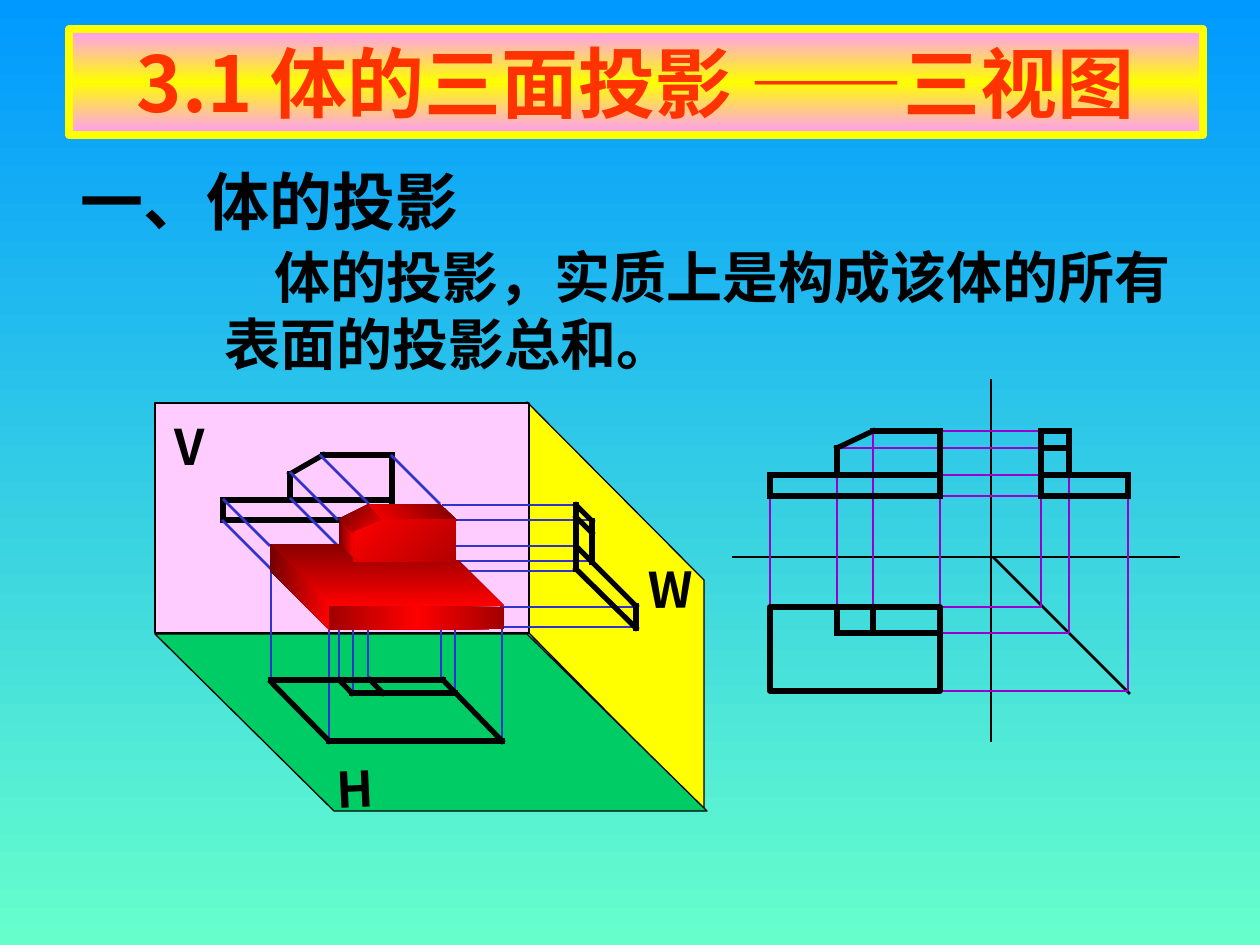
import pptx
import pptx.util
import pptx.dml.color
import pptx.enum.shapes
import pptx.enum.text
import pptx.oxml.ns
import lxml.etree

PX = 914400 / 126
FONT = "Noto Sans CJK SC"
COLORS = {
    "black": "000000", "blue": "3333CC", "purple": "9900CC", "title": "FF3300",
    "yellow": "FFFF00", "green": "00CC66", "pink": "FFCCFF", "rose": "FF99FF",
    "sky": "0099FF", "mint": "66FFCC", "red": "FF0000",
    "dark": "750000", "deep": "650000", "wine": "890000", "brick": "B30000", "rust": "A10000",
}
THIN, MID, THICK = 0.75, 1.5, 3
ALIGN = pptx.enum.text.PP_ALIGN
ANCHOR = pptx.enum.text.MSO_ANCHOR
qn = pptx.oxml.ns.qn


def emu(px):
    return pptx.util.Emu(round(px * PX))


def color(name):
    return pptx.dml.color.RGBColor.from_string(COLORS[name])


def place(shape, x, y, w, h):
    shape.left, shape.top, shape.width, shape.height = map(emu, (x, y, w, h))


def shade(fill, node, names, angle):
    """Fill with evenly spaced gradient stops; angle runs clockwise."""
    fill.gradient()
    fill.gradient_angle = 360 - angle
    stops = next(node.iter(qn("a:gsLst")))
    for old in list(stops):
        stops.remove(old)
    for i, name in enumerate(names):
        stop = lxml.etree.SubElement(stops, qn("a:gs"), pos=str(100000 * i // (len(names) - 1)))
        lxml.etree.SubElement(stop, qn("a:srgbClr"), val=COLORS[name])


def paint(shape, fill=None, line=None, width=THIN):
    shape.shadow.inherit = False
    if fill:
        shape.fill.solid()
        shape.fill.fore_color.rgb = color(fill)
    else:
        shape.fill.background()
    if line:
        shape.line.color.rgb = color(line)
        shape.line.width = pptx.util.Pt(width)
    else:
        shape.line.fill.background()


def write(shape, text, size, ink="black", align=ALIGN.LEFT, anchor=ANCHOR.TOP, wrap=True, indent=0):
    frame = shape.text_frame
    frame.auto_size = pptx.enum.text.MSO_AUTO_SIZE.NONE
    frame.word_wrap = wrap
    frame.vertical_anchor = anchor
    para = frame.paragraphs[0]
    para.alignment = align
    para.space_before = pptx.util.Pt(0)
    props = para._p.get_or_add_pPr()
    props.set("marL", "0")
    props.set("indent", str(emu(indent)))
    lxml.etree.SubElement(props, qn("a:buNone"))
    run = para.add_run()
    run.text = text
    run.font.size = pptx.util.Pt(size)
    run.font.bold = True
    run.font.name = FONT
    run.font.color.rgb = color(ink)
    lxml.etree.SubElement(run._r.get_or_add_rPr(), qn("a:ea"), typeface=FONT)


def label(slide, text, box, size, turn=0, **style):
    shape = slide.shapes.add_textbox(*map(emu, box))
    shape.rotation = turn
    write(shape, text, size, wrap=False, **style)


def trace(slide, ink, width, *points):
    """Join consecutive points with straight lines."""
    for start, end in zip(points, points[1:]):
        line = slide.shapes.add_connector(
            pptx.enum.shapes.MSO_CONNECTOR.STRAIGHT, *map(emu, start + end))
        line.line.color.rgb = color(ink)
        line.line.width = pptx.util.Pt(width)
        if width == THICK:
            line.line._get_or_add_ln().set("cap", "sq")
        lxml.etree.SubElement(line._element.spPr, qn("a:effectLst"))


def level(slide, ink, rows):
    for x1, x2, y in rows:
        trace(slide, ink, MID, (x1, y), (x2, y))


def plumb(slide, ink, cols):
    for x, y1, y2 in cols:
        trace(slide, ink, MID, (x, y1), (x, y2))


def rect(slide, box, **style):
    shape = slide.shapes.add_shape(pptx.enum.shapes.MSO_SHAPE.RECTANGLE, *map(emu, box))
    paint(shape, **style)


def face(slide, points, **style):
    pen = slide.shapes.build_freeform(*points[0], scale=PX)
    pen.add_line_segments(points[1:], close=True)
    shape = pen.convert_to_shape()
    paint(shape, **style)
    return shape


def draw_planes(slide):
    face(slide, [(527, 402), (704, 580), (704, 810), (527, 631)], fill="yellow", line="black")
    face(slide, [(155, 634), (527, 634), (707, 811), (334, 811)], fill="green", line="black")
    rect(slide, (155, 403, 374, 230), fill="pink", line="black")
    for text, box, turn in [("V", (161, 410, 57, 72), 0), ("W", (641, 553, 60, 72), -0.6),
                            ("H", (324, 752, 62, 72), -2.6)]:
        label(slide, text, box, 28, turn, align=ALIGN.CENTER, anchor=ANCHOR.MIDDLE)


def draw_views(slide):
    # Shared edges of the three views
    a, b, c, d = 770, 837, 873, 940
    e, f, g = 1041, 1069, 1128
    top, step, deck, base = 431, 448, 475, 496
    back, mid, front = 607, 633, 691
    # Axes and the 45-degree line
    for ends in [((732, 557), (1180, 557)), ((991, 379), (991, 742)), ((993, 557), (1130, 694))]:
        trace(slide, "black", MID, *ends)
    # Projection lines
    level(slide, "purple", [(d, f, top), (b, f, step), (d, e, deck), (d, e, base),
                            (d, e, back), (d, f, mid), (d, g, front)])
    plumb(slide, "purple", [(a, base, back), (b, deck, back), (c, top, back), (d, base, back),
                            (e, base, back), (f, deck, mid), (g, base, front)])
    # Top view
    rect(slide, (a, back, d - a, front - back), line="black", width=THICK)
    trace(slide, "black", THICK, (b, back), (b, mid), (d, mid))
    trace(slide, "black", THICK, (c, back), (c, mid))
    # Front view and side view
    trace(slide, "black", THICK, (b, deck), (b, step), (c, top), (d, top), (d, deck))
    trace(slide, "black", THICK, (e, deck), (e, top), (f, top), (f, deck))
    trace(slide, "black", THICK, (e, step), (f, step))
    for x1, x2 in [(a, d), (e, g)]:
        trace(slide, "black", THICK, (x1, deck), (x2, deck), (x2, base), (x1, base), (x1, deck))


def draw_rays(slide):
    # Down to H
    plumb(slide, "blue", [(271, 570, 680), (329, 626, 742), (502, 625, 742), (441, 529, 680),
                          (339, 544, 682), (353, 559, 693), (455, 559, 694), (368, 626, 680)])
    trace(slide, "black", THICK, (271, 680), (443, 680), (502, 741), (329, 741), (271, 682))
    trace(slide, "black", THICK, (339, 680), (352, 693), (455, 693))
    trace(slide, "black", THICK, (370, 680), (383, 693))
    # Back to V, at 45 degrees
    trace(slide, "black", THICK, (290, 500), (290, 474), (323, 455), (392, 455), (392, 520),
          (223, 520), (223, 500), (392, 500))
    for x, y, run in [(223, 499, 47), (320, 455, 49), (290, 498, 48),
                      (290, 472, 48), (222, 520, 50), (391, 455, 49)]:
        trace(slide, "blue", MID, (x, y), (x + run, y + run))
    # Across to W
    level(slide, "blue", [(501, 636, 627), (461, 575, 571), (500, 636, 607), (442, 578, 505),
                          (452, 592, 520), (456, 592, 561), (451, 578, 546)])
    trace(slide, "black", THICK, (592, 562), (592, 521), (576, 505), (576, 569), (636, 628),
          (636, 606), (578, 548))
    trace(slide, "black", THICK, (576, 517), (592, 533))


def draw_solid(slide):
    faces = [
        ([(339, 518), (339, 546), (354, 562), (354, 534)], ["red", "dark"], 180),
        ([(339, 519), (369, 504), (382, 520), (354, 534)], ["red", "deep"], 225),
        ([(369, 505), (440, 504), (457, 520), (382, 519)], ["dark", "red"], 135),
        ([(339, 544), (354, 559), (459, 561), (504, 606), (331, 606), (270, 544)],
         ["wine", "red"], 90),
        ([(354, 532), (354, 562), (456, 562), (456, 519), (382, 520)], ["brick", "red"], 225),
        ([(270, 544), (270, 571), (330, 631), (330, 604)], ["red", "dark"], 180),
        ([(329, 606), (504, 607), (504, 629), (329, 630)], ["rust", "red", "rust"], 180),
    ]
    for points, names, angle in faces:
        shape = face(slide, points)
        shade(shape.fill, shape._element, names, angle)


def main():
    deck = pptx.Presentation()
    deck.slide_width, deck.slide_height = emu(1260), emu(945)
    slide = deck.slides.add_slide(deck.slide_layouts[1])
    shade(slide.background.fill, slide._element, ["sky", "mint"], 90)

    # Title banner
    title = slide.shapes.title
    place(title, 69, 29, 1134, 106)
    shade(title.fill, title._element, ["rose", "yellow", "rose"], 90)
    title.line.color.rgb = color("yellow")
    title.line.width = pptx.util.Pt(4.5)
    write(title, "3.1 体的三面投影 ——三视图", 44, ink="title",
          align=ALIGN.CENTER, anchor=ANCHOR.MIDDLE)

    # Heading and statement
    label(slide, "一、体的投影", (68, 156, 403, 88), 36)
    body = slide.placeholders[1]
    place(body, 212, 236, 992, 147)
    write(body, "体的投影，实质上是构成该体的所有表面的投影总和。", 32,
          anchor=ANCHOR.MIDDLE, indent=50)

    # Drawings, back to front
    draw_planes(slide)
    draw_views(slide)
    draw_rays(slide)
    draw_solid(slide)
    deck.save("out.pptx")


if __name__ == "__main__":
    main()
